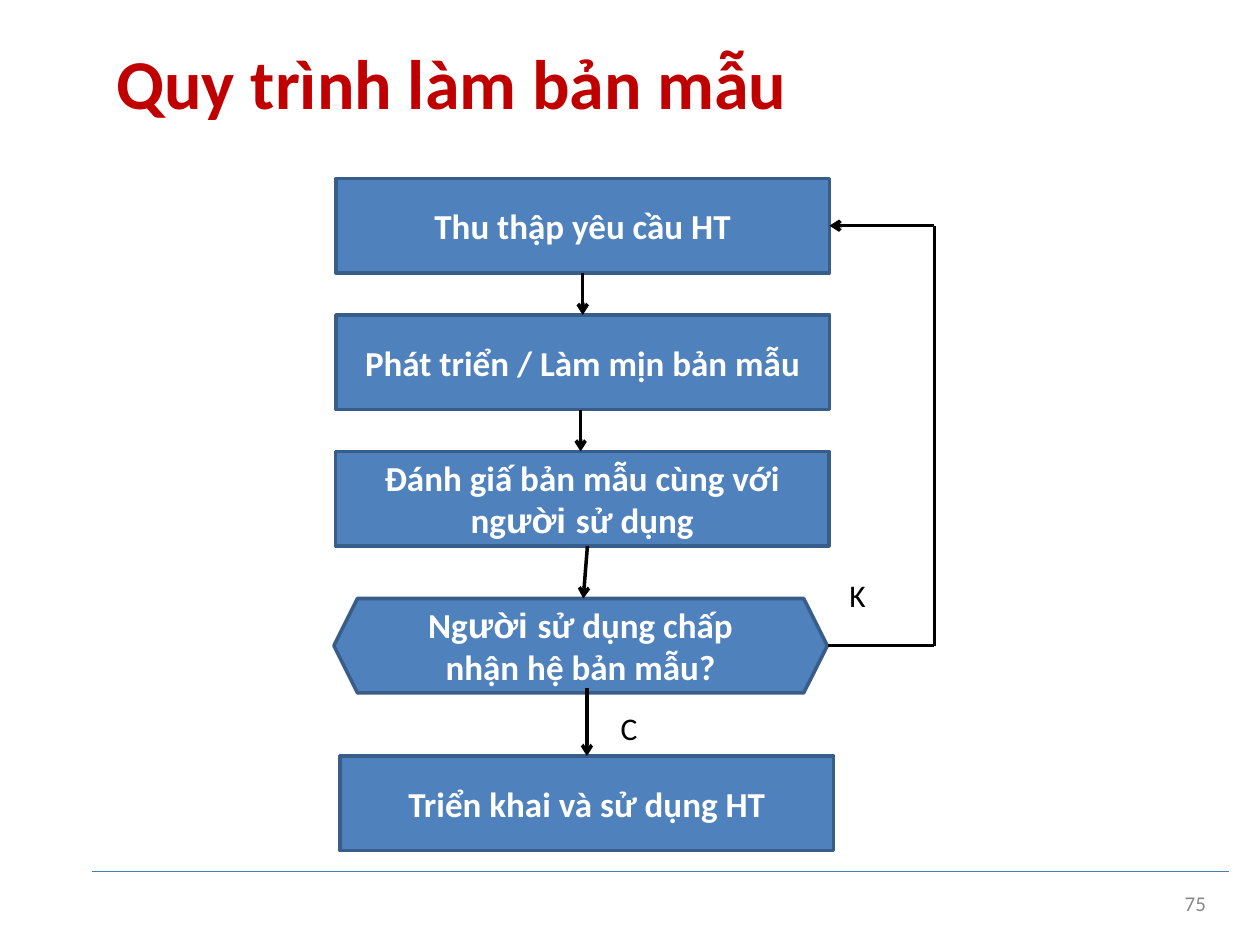
from dataclasses import dataclass
from itertools import pairwise

from lxml.etree import SubElement
from pptx import Presentation
from pptx.dml.color import RGBColor
from pptx.enum.shapes import MSO_CONNECTOR as Connector, MSO_SHAPE as Shape
from pptx.enum.text import MSO_ANCHOR as Anchor, PP_ALIGN as Align
from pptx.oxml.ns import qn
from pptx.util import Inches, Pt

# Grid: 120 columns by 90 rows over the slide
WIDTH, HEIGHT = Inches(10), Inches(7.5)
COLUMN, ROW = WIDTH / 120, HEIGHT / 90

COLORS = {
    "title": "C00000", "fill": "4F81BC", "edge": "385D89", "step": "FFFFFF",
    "ink": "000000", "rule": "497DBA", "number": "888888",
}
FORMATS = {
    "title": {"size": Pt(40), "bold": True},
    "step": {"size": Pt(20), "bold": True},
    "ink": {"size": Pt(18), "bold": False},
    "number": {"size": Pt(12), "bold": False},
}
ARIAL_PART = "ười "  # these letters are set in Arial, the rest in Calibri
STEP_WIDTH, STEP_HEIGHT = 47, 9
LINE_WIDTH = 2


@dataclass(frozen=True)
class Step:
    lines: tuple[str, ...]
    left: float
    top: float
    kind: Shape = Shape.RECTANGLE


@dataclass(frozen=True)
class Label:
    text: str
    style: str
    left: float
    top: float
    width: float
    height: float
    align: Align = Align.LEFT


@dataclass(frozen=True)
class Line:
    start: tuple[float, float]
    end: tuple[float, float]
    arrow: bool = True
    color: str = "ink"
    width: float = LINE_WIDTH


STEPS = (
    Step(("Thu thập yêu cầu HT",), 32, 17),
    Step(("Phát triển / Làm mịn bản mẫu",), 32, 30),
    Step(("Đánh giấ bản mẫu cùng với", "người sử dụng"), 31.95, 43),
    Step(("Người sử dụng chấp", "nhận hệ bản mẫu?"), 31.8, 57, Shape.HEXAGON),
    Step(("Triển khai và sử dụng HT",), 32.4, 72),
)
LABELS = (
    Label("Quy trình làm bản mẫu", "title", 11.1, 3.75, 64.3, 8.4),
    Label("K", "ink", 80.9, 54.9, 2, 4),
    Label("C", "ink", 59.1, 67.5, 2, 4),
    Label("75", "number", 112.3, 84.8, 2.55, 2.3, Align.RIGHT),
)
LOOP = ((78.85, 61.5), (89, 61.5), (89, 21.5), (79, 21.5))
LINES = (
    Line((8.75, 83), (117, 83), False, "rule", 0.78),
    Line((55.5, 26), (55.5, 30)),
    Line((55.3, 39), (55.3, 43)),
    Line((55.95, 52), (55.55, 57)),
    Line((55.9, 65.5), (55.9, 72)),
    *(Line(a, b, b == LOOP[-1]) for a, b in pairwise(LOOP)),
)


def rgb(name: str) -> RGBColor:
    return RGBColor.from_string(COLORS[name])


def place(left: float, top: float, width: float, height: float) -> tuple[int, ...]:
    return (round(left * COLUMN), round(top * ROW),
            round(width * COLUMN), round(height * ROW))


def add_run(paragraph, text: str, style: str, font: str) -> None:
    if not text:
        return
    run = paragraph.add_run()
    run.text = text
    for attribute, value in {**FORMATS[style], "name": font}.items():
        setattr(run.font, attribute, value)
    run.font.color.rgb = rgb(style)


def write(frame, lines: tuple[str, ...], style: str, align: Align, anchor: Anchor) -> None:
    margins = dict.fromkeys(
        ("margin_left", "margin_top", "margin_right", "margin_bottom"), 0)
    for attribute, value in {**margins, "vertical_anchor": anchor}.items():
        setattr(frame, attribute, value)
    paragraph = frame.paragraphs[0]
    paragraph.alignment = align
    if len(lines) > 1:
        paragraph.line_spacing = Pt(23.8)
    for index, line in enumerate(lines):
        if index:
            paragraph.add_line_break()
        before, arial, after = line.partition(ARIAL_PART)
        add_run(paragraph, before, style, "Calibri")
        add_run(paragraph, arial, style, "Arial")
        add_run(paragraph, after, style, "Calibri")


def draw_step(slide, step: Step) -> None:
    box = slide.shapes.add_shape(
        step.kind, *place(step.left, step.top, STEP_WIDTH, STEP_HEIGHT))
    box.shadow.inherit = False
    box.fill.solid()
    box.fill.fore_color.rgb = rgb("fill")
    box.line.color.rgb = rgb("edge")
    box.line.width = Pt(LINE_WIDTH)
    if step.kind == Shape.HEXAGON:
        box.adjustments[0] = 0.25
    box.text_frame.word_wrap = True
    write(box.text_frame, step.lines, "step", Align.CENTER, Anchor.MIDDLE)


def draw_label(slide, label: Label) -> None:
    area = place(label.left, label.top, label.width, label.height)
    frame = slide.shapes.add_textbox(*area).text_frame
    frame.word_wrap = True
    write(frame, (label.text,), label.style, label.align, Anchor.TOP)


def draw_line(slide, line: Line) -> None:
    ends = place(*line.start, *line.end)
    connector = slide.shapes.add_connector(Connector.STRAIGHT, *ends)
    connector.line.color.rgb = rgb(line.color)
    connector.line.width = Pt(line.width)
    properties = connector.element.spPr
    if line.arrow:
        SubElement(properties.find(qn("a:ln")), qn("a:tailEnd"),
                   type="arrow", w="med", len="med")
    SubElement(properties, qn("a:effectLst"))


def main() -> None:
    deck = Presentation()
    deck.slide_width, deck.slide_height = WIDTH, HEIGHT
    slide = deck.slides.add_slide(deck.slide_layouts[6])

    # Flow steps, then the arrows over them, then title and labels
    for step in STEPS:
        draw_step(slide, step)
    for line in LINES:
        draw_line(slide, line)
    for label in LABELS:
        draw_label(slide, label)

    deck.save("out.pptx")


if __name__ == "__main__":
    main()
